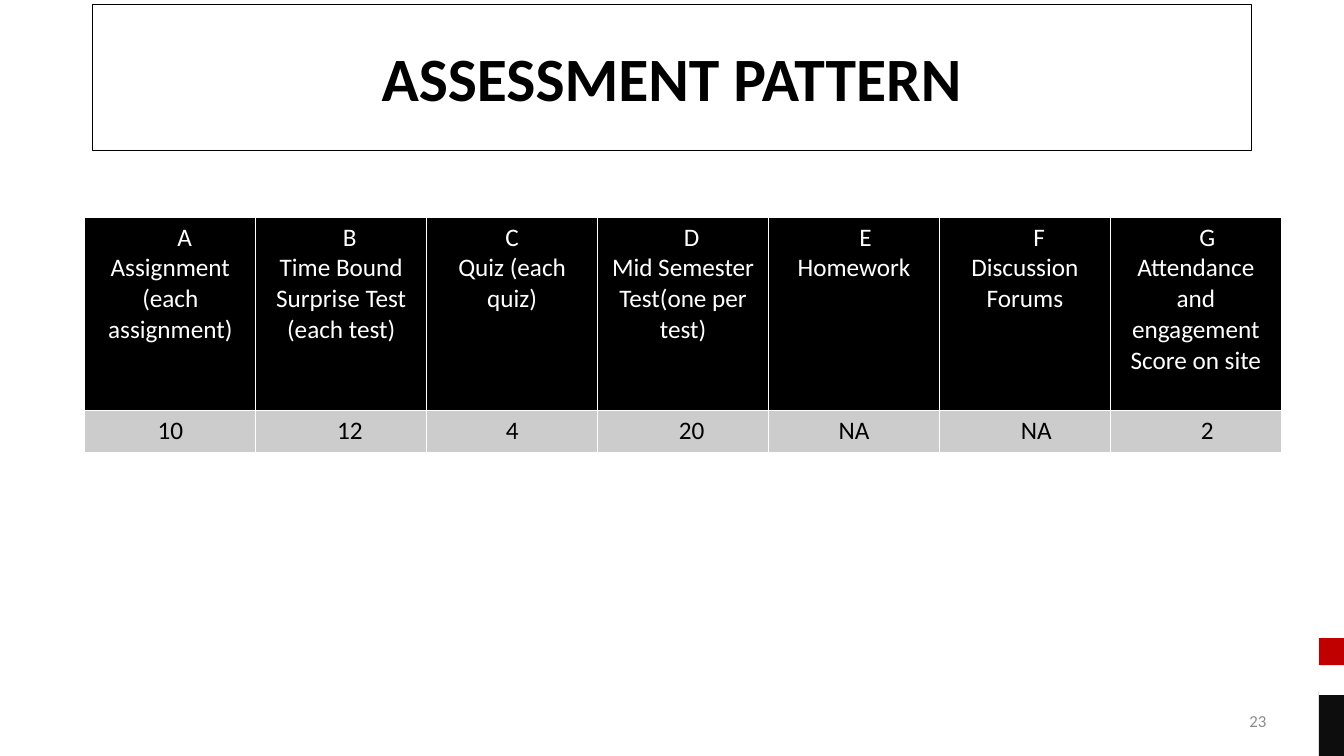
import pptx
import pptx.dml.color
import pptx.enum.shapes
import pptx.enum.text
import pptx.oxml
import pptx.oxml.ns
import pptx.util

Pt = pptx.util.Pt
ALIGN = pptx.enum.text.PP_ALIGN
ANCHOR = pptx.enum.text.MSO_ANCHOR

SPACE = 4.07  # width of one space at 18 pt
COLUMN_WIDTH = 122.1
ROW_HEIGHTS = (138.5, 30)
# letter, its indent in spaces, heading, score, its indent in spaces
ASSESSMENTS = [
    ("A", 5, "Assignment (each assignment)", "10", 0),
    ("B", 3, "Time Bound Surprise Test (each test)", "12", 3),
    ("C", 0, "Quiz (each quiz)", "4", 0),
    ("D", 3, "Mid Semester Test(one per test)", "20", 3),
    ("E", 4, "Homework", "NA", 0),
    ("F", 5, "Discussion Forums", "NA", 4),
    ("G", 4, "Attendance and engagement Score on site", "2", 4),
]
# top, height, colour
EDGE_BLOCKS = [(455.8, 19.4, "C00000"), (493.9, 46.1, "0D0D0D"), (475.9, 20.5, "FFFFFF")]


def rgb(colour):
    return pptx.dml.color.RGBColor.from_string(colour)


def write(paragraph, text, size=18, colour="000000", bold=False, align=ALIGN.CENTER, indent=0):
    paragraph.text = text
    paragraph.alignment = align
    if indent:
        paragraph._p.get_or_add_pPr().set("marL", str(Pt(indent)))
    font = paragraph.font
    font.name = "Calibri"
    font.size = Pt(size)
    font.bold = bold
    font.color.rgb = rgb(colour)


def add_rectangle(slide, left, top, width, height, fill=None, line=None):
    shape = slide.shapes.add_shape(pptx.enum.shapes.MSO_SHAPE.RECTANGLE,
                                   Pt(left), Pt(top), Pt(width), Pt(height))
    shape.shadow.inherit = False
    if fill:
        shape.fill.solid()
        shape.fill.fore_color.rgb = rgb(fill)
    else:
        shape.fill.background()
    if line:
        shape.line.color.rgb = rgb(line)
        shape.line.width = Pt(0.75)
    else:
        shape.line.fill.background()
    return shape


def add_title(slide, text):
    shape = add_rectangle(slide, 66, 3, 828, 104.4, line="000000")
    shape.text_frame.word_wrap = True
    shape.text_frame.vertical_anchor = ANCHOR.MIDDLE
    write(shape.text_frame.paragraphs[0], text, size=44, bold=True)


def add_page_number(slide, text):
    box = slide.shapes.add_textbox(Pt(687.6), Pt(500.5), Pt(224), Pt(28.8))
    box.text_frame.word_wrap = True
    box.text_frame.vertical_anchor = ANCHOR.MIDDLE
    write(box.text_frame.paragraphs[0], text, size=12, colour="8C8C8C", align=ALIGN.RIGHT)


def style_cell(cell, fill):
    """Give the cell white one-point borders and a solid fill."""
    properties = cell._tc.get_or_add_tcPr()
    for side in ("lnL", "lnR", "lnT", "lnB"):
        properties.append(pptx.oxml.parse_xml(
            f'<a:{side} {pptx.oxml.ns.nsdecls("a")} w="{Pt(1)}"><a:solidFill>'
            f'<a:srgbClr val="FFFFFF"/></a:solidFill></a:{side}>'))
    cell.fill.solid()
    cell.fill.fore_color.rgb = rgb(fill)


def add_assessment_table(slide):
    table = slide.shapes.add_table(
        len(ROW_HEIGHTS), len(ASSESSMENTS), Pt(60.6), Pt(155),
        Pt(COLUMN_WIDTH * len(ASSESSMENTS)), Pt(sum(ROW_HEIGHTS))).table
    for row, height in zip(table.rows, ROW_HEIGHTS):
        row.height = Pt(height)
    for index, (letter, letter_spaces, heading, score, score_spaces) in enumerate(ASSESSMENTS):
        table.columns[index].width = Pt(COLUMN_WIDTH)
        header, value = table.cell(0, index), table.cell(1, index)
        style_cell(header, "000000")
        style_cell(value, "CCCCCC")
        write(header.text_frame.paragraphs[0], letter, colour="FFFFFF",
              indent=letter_spaces * SPACE)
        write(header.text_frame.add_paragraph(), heading, colour="FFFFFF")
        write(value.text_frame.paragraphs[0], score, indent=score_spaces * SPACE)


def main():
    presentation = pptx.Presentation()
    presentation.slide_width = Pt(960)
    presentation.slide_height = Pt(540)
    slide = presentation.slides.add_slide(presentation.slide_layouts[6])
    add_title(slide, "ASSESSMENT PATTERN")
    add_page_number(slide, "23")
    add_assessment_table(slide)
    for top, height, colour in EDGE_BLOCKS:
        add_rectangle(slide, 942, top, 18, height, fill=colour)
    presentation.save("out.pptx")


if __name__ == "__main__":
    main()
